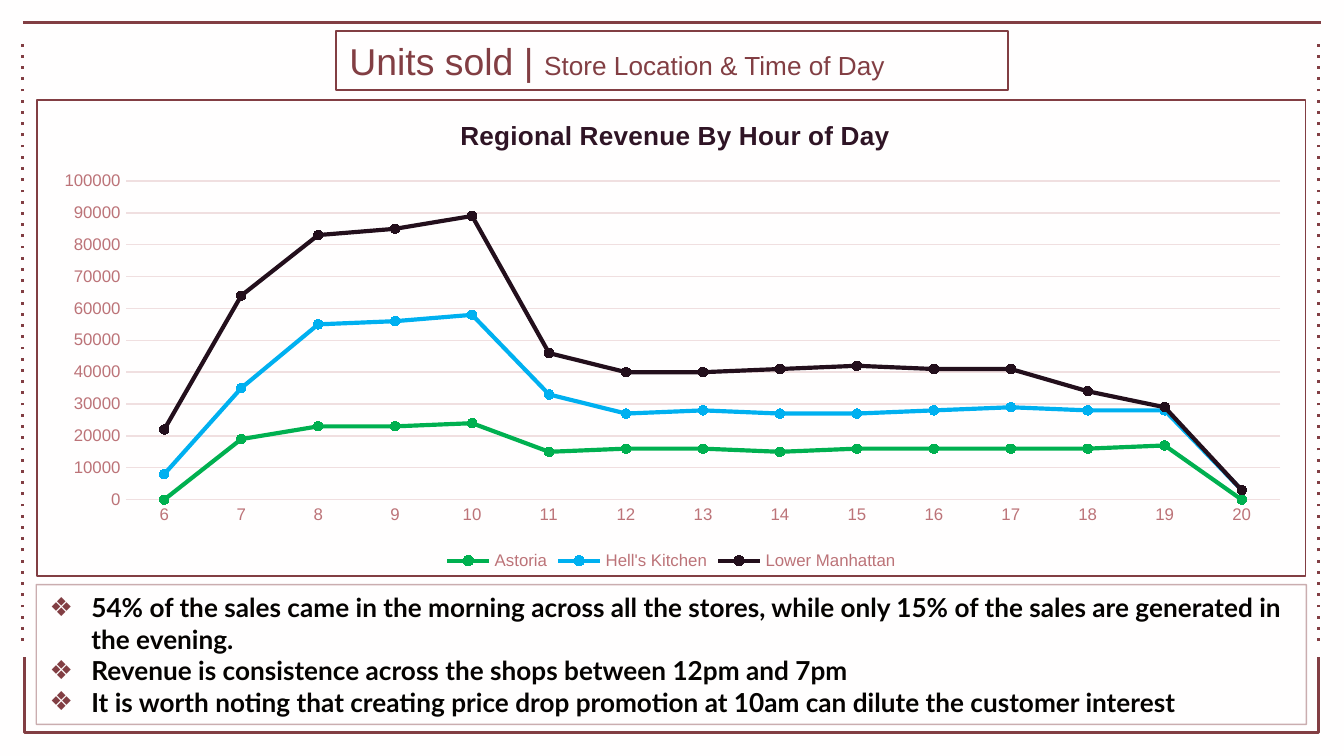
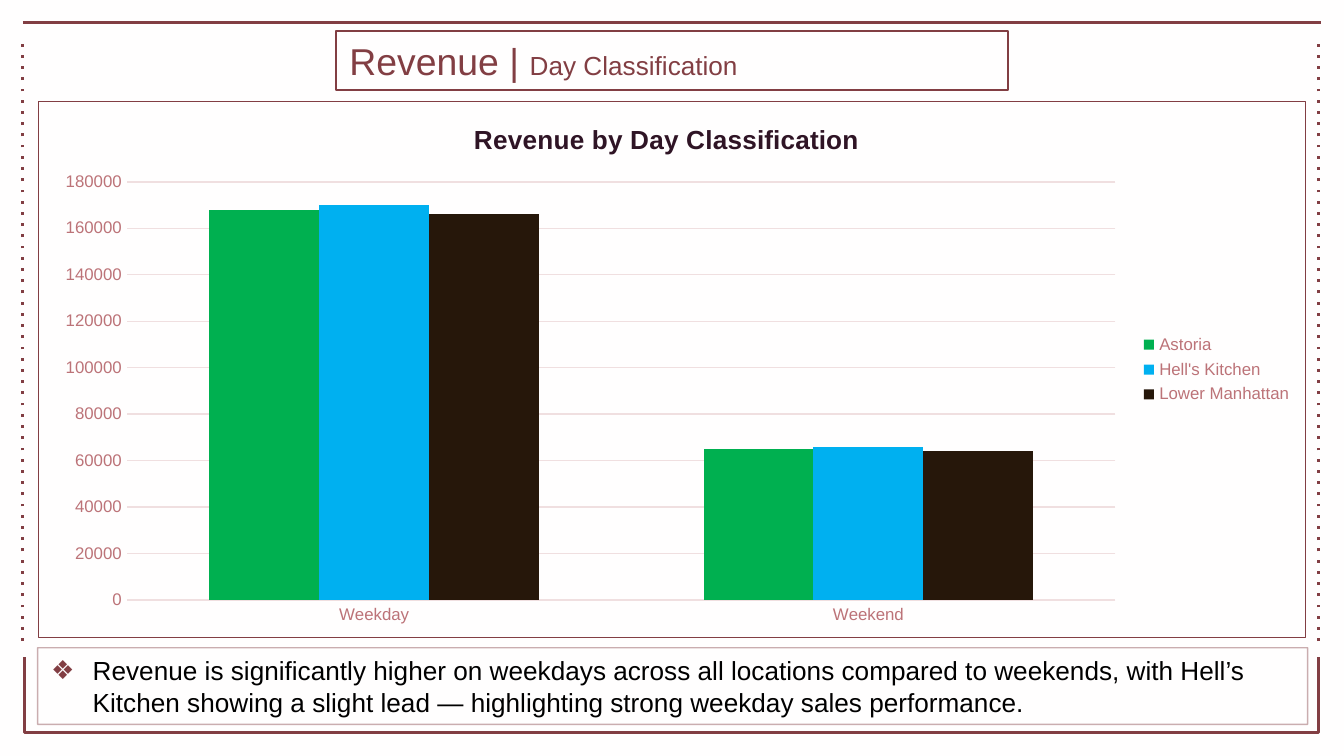
import lxml.etree
import pptx
import pptx.chart.data
import pptx.dml.color
import pptx.enum.chart
import pptx.enum.dml
import pptx.enum.shapes
import pptx.enum.text
import pptx.oxml.ns
import pptx.util

Inches = pptx.util.Inches
Pt = pptx.util.Pt
RGBColor = pptx.dml.color.RGBColor
ChartType = pptx.enum.chart.XL_CHART_TYPE
LegendPosition = pptx.enum.chart.XL_LEGEND_POSITION
qn = pptx.oxml.ns.qn

MAROON = RGBColor(0x82, 0x3E, 0x43)
ROSE = RGBColor(0xBC, 0x73, 0x78)
PALE_ROSE = RGBColor(0xF0, 0xDF, 0xE0)
PLUM = RGBColor(0x2F, 0x14, 0x25)
INK = RGBColor(0x05, 0x03, 0x01)
BLACK = RGBColor(0x00, 0x00, 0x00)
PAPER = RGBColor(0xFF, 0xFE, 0xFE)
GREEN = RGBColor(0x00, 0xB0, 0x50)
BLUE = RGBColor(0x00, 0xB0, 0xF0)
DARK_PLUM = RGBColor(0x23, 0x0F, 0x1C)
DARK_BROWN = RGBColor(0x26, 0x17, 0x0A)

SANS = "Arial"
STORES = ("Astoria", "Hell's Kitchen", "Lower Manhattan")
TITLE_AREA = (2.5, 0.23, 5, 0.44)
FRAME_LINES = [
    ((9.81, 4.77), (9.81, 0.3), True),
    ((0.17, 0.17), (9.83, 0.17), False),
    ((0.17, 4.77), (0.17, 0.3), True),
]
BRACKET = [(0.18, 4.89), (0.18, 5.45), (9.81, 5.45), (9.81, 4.89)]

SLIDES = [
    {
        "title": ("Units sold | ", "Store Location & Time of Day"),
        "notes_area": (0.27, 4.35, 9.45, 1.04),
        "notes_style": ("Lato", INK, True),
        "notes": [
            "54% of the sales came in the morning across all the stores, "
            "while only 15% of the sales are generated in the evening.",
            "Revenue is consistence across the shops between 12pm and 7pm",
            "It is worth noting that creating price drop promotion at 10am "
            "can dilute the customer interest",
        ],
        "chart": {
            "type": ChartType.LINE_MARKERS_STACKED,
            "area": (0.27, 0.74, 9.45, 3.55),
            "title": "Regional Revenue By Hour of Day",
            "title_at": (0.33, 0.03),
            "plot_at": (0.07, 0.17, 0.91, 0.67),
            "legend": LegendPosition.BOTTOM,
            "scale": (100000, 10000),
            "categories": [str(hour) for hour in range(6, 21)],
            "values": [
                (None, 19000, 23000, 23000, 24000, 15000, 16000, 16000,
                 15000, 16000, 16000, 16000, 16000, 17000, None),
                (8000, 16000, 32000, 33000, 34000, 18000, 11000, 12000,
                 12000, 11000, 12000, 13000, 12000, 11000, 3000),
                (14000, 29000, 28000, 29000, 31000, 13000, 13000, 12000,
                 14000, 15000, 13000, 12000, 6000, 1000, 0),
            ],
            "colors": (GREEN, BLUE, DARK_PLUM),
        },
    },
    {
        "title": ("Revenue | ", "Day Classification"),
        "notes_area": (0.28, 4.82, 9.45, 0.57),
        "notes_style": (SANS, BLACK, False),
        "notes": [
            "Revenue is significantly higher on weekdays across all locations "
            "compared to weekends, with Hell’s Kitchen showing a slight lead "
            "— highlighting strong weekday sales performance.",
        ],
        "chart": {
            "type": ChartType.COLUMN_CLUSTERED,
            "area": (0.28, 0.75, 9.44, 4),
            "title": "Revenue by Day Classification",
            "title_at": (0.34, 0.03),
            "plot_at": (0.07, 0.15, 0.78, 0.78),
            "legend": LegendPosition.RIGHT,
            "scale": (180000, 20000),
            "categories": ["Weekday", "Weekend"],
            "values": [(168000, 65000), (170000, 66000), (166000, 64000)],
            "colors": (GREEN, BLUE, DARK_BROWN),
        },
    },
]


def add_node(parent, tag, **attributes):
    return lxml.etree.SubElement(parent, qn(tag), attributes)


def set_line(line, color, width):
    line.color.rgb = color
    line.width = Pt(width)


def set_font(font, size, color, name=SANS, bold=False):
    font.name = name
    font.size = Pt(size)
    font.bold = bold
    font.color.rgb = color


def add_span(para, text, *style):
    span = para.add_run()
    span.text = text
    set_font(span.font, *style)


def add_frame(layout, page):
    parts = []
    for start, end, dotted in FRAME_LINES:
        ends = [Inches(value) for value in start + end]
        rule = page.shapes.add_connector(
            pptx.enum.shapes.MSO_CONNECTOR.STRAIGHT, *ends)
        set_line(rule.line, MAROON, 1.5)
        if dotted:
            rule.line.dash_style = pptx.enum.dml.MSO_LINE.ROUND_DOT
            rule.element.find(".//" + qn("a:prstDash")).set("val", "dot")
        add_node(rule.element.spPr, "a:effectLst")
        parts.append(rule)
    points = [(Inches(x), Inches(y)) for x, y in BRACKET]
    builder = page.shapes.build_freeform(*points[0])
    builder.add_line_segments(points[1:], close=False)
    bracket = builder.convert_to_shape()
    bracket.fill.background()
    bracket.shadow.inherit = False
    set_line(bracket.line, MAROON, 1.5)
    parts.append(bracket)
    for part in parts:
        layout.shapes.element.append(part.element)


def prepare_box(box, area):
    box.left, box.top, box.width, box.height = map(Inches, area)
    set_line(box.line, MAROON, 0.75)
    frame = box.text_frame
    frame.word_wrap = True
    frame.auto_size = pptx.enum.text.MSO_AUTO_SIZE.NONE
    frame.vertical_anchor = pptx.enum.text.MSO_ANCHOR.MIDDLE
    return frame


def fill_title(box, texts):
    para = prepare_box(box, TITLE_AREA).paragraphs[0]
    para.alignment = pptx.enum.text.PP_ALIGN.LEFT
    for text, size in zip(texts, (20, 14)):
        add_span(para, text, size, MAROON)


def fill_notes(box, area, texts, style):
    name, color, bold = style
    frame = prepare_box(box, area)
    line_color = box.element.spPr.find(".//" + qn("a:srgbClr"))
    add_node(line_color, "a:alpha", val="42000")
    for index, text in enumerate(texts):
        para = frame.add_paragraph() if index else frame.paragraphs[0]
        properties = para._p.get_or_add_pPr()
        properties.set("marL", str(Inches(0.31)))
        properties.set("indent", str(-Inches(0.31)))
        bullet_color = add_node(properties, "a:buClr")
        add_node(bullet_color, "a:srgbClr", val=str(MAROON))
        add_node(properties, "a:buFont", typeface=SANS)
        add_node(properties, "a:buChar", char="❖")
        para.space_before = Pt(0)
        add_span(para, text, 14, color, name, bold)


def place_part(parent, position):
    layout = parent.find(qn("c:layout"))
    if layout is None:
        layout = add_node(parent, "c:layout")
        parent.insert(len(parent.findall(qn("c:tx"))), layout)
    manual = add_node(layout, "c:manualLayout")
    if len(position) == 4:
        add_node(manual, "c:layoutTarget", val="inner")
    for mode in ("c:xMode", "c:yMode"):
        add_node(manual, mode, val="edge")
    for tag, value in zip(("c:x", "c:y", "c:w", "c:h"), position):
        add_node(manual, tag, val=str(value))


def add_border(root):
    border = add_node(root, "c:spPr")
    add_node(border, "a:noFill")
    line = add_node(border, "a:ln", w=str(Pt(0.75)))
    add_node(add_node(line, "a:solidFill"), "a:srgbClr", val=str(MAROON))
    root.find(qn("c:chart")).addnext(border)


def style_axes(chart, scale):
    for axis in (chart.category_axis, chart.value_axis):
        axis.major_tick_mark = pptx.enum.chart.XL_TICK_MARK.NONE
        axis.minor_tick_mark = pptx.enum.chart.XL_TICK_MARK.NONE
        set_font(axis.tick_labels.font, 9, ROSE)
    set_line(chart.category_axis.format.line, PALE_ROSE, 0.75)
    values = chart.value_axis
    values.minimum_scale = 0
    values.maximum_scale, values.major_unit = scale
    values.format.line.fill.background()
    set_line(values.major_gridlines.format.line, PALE_ROSE, 0.75)


def style_series(series, color, lined):
    if not lined:
        series.format.fill.solid()
        series.format.fill.fore_color.rgb = color
        return
    series.smooth = False
    set_line(series.format.line, color, 2.25)
    marker = series.marker
    marker.style = pptx.enum.chart.XL_MARKER_STYLE.CIRCLE
    marker.size = 5
    marker.format.fill.solid()
    marker.format.fill.fore_color.rgb = color
    marker.format.line.color.rgb = color


def add_revenue_chart(page, content):
    data = pptx.chart.data.CategoryChartData()
    data.categories = content["categories"]
    for store, values in zip(STORES, content["values"]):
        data.add_series(store, values)
    area = map(Inches, content["area"])
    chart = page.shapes.add_chart(content["type"], *area, data).chart
    set_font(chart.font, 10, MAROON)
    chart.has_title = True
    add_span(chart.chart_title.text_frame.paragraphs[0],
             content["title"], 14, PLUM, SANS, True)
    chart.has_legend = True
    chart.legend.position = content["legend"]
    chart.legend.include_in_layout = False
    set_font(chart.legend.font, 9, ROSE)
    style_axes(chart, content["scale"])

    plot = chart.plots[0]
    plot.vary_by_categories = False
    lined = content["type"] == ChartType.LINE_MARKERS_STACKED
    if not lined:
        plot.gap_width = 150
        plot.overlap = 0
    for series, color in zip(plot.series, content["colors"]):
        style_series(series, color, lined)

    root = chart.element
    add_border(root)
    place_part(root.find(".//" + qn("c:plotArea")), content["plot_at"])
    place_part(root.find(qn("c:chart")).find(qn("c:title")),
               content["title_at"])
    for blanks in root.iter(qn("c:dispBlanksAs")):
        blanks.set("val", "zero")


def main():
    deck = pptx.Presentation()
    deck.slide_width = Inches(10)
    deck.slide_height = deck.slide_width * 9 // 16
    layout = deck.slide_layouts[1]
    layout.background.fill.solid()
    layout.background.fill.fore_color.rgb = PAPER
    for index, content in enumerate(SLIDES):
        page = deck.slides.add_slide(layout)
        if index == 0:
            add_frame(layout, page)
        fill_notes(page.placeholders[1], content["notes_area"],
                   content["notes"], content["notes_style"])
        fill_title(page.shapes.title, content["title"])
        add_revenue_chart(page, content["chart"])
    deck.save("out.pptx")


if __name__ == "__main__":
    main()
